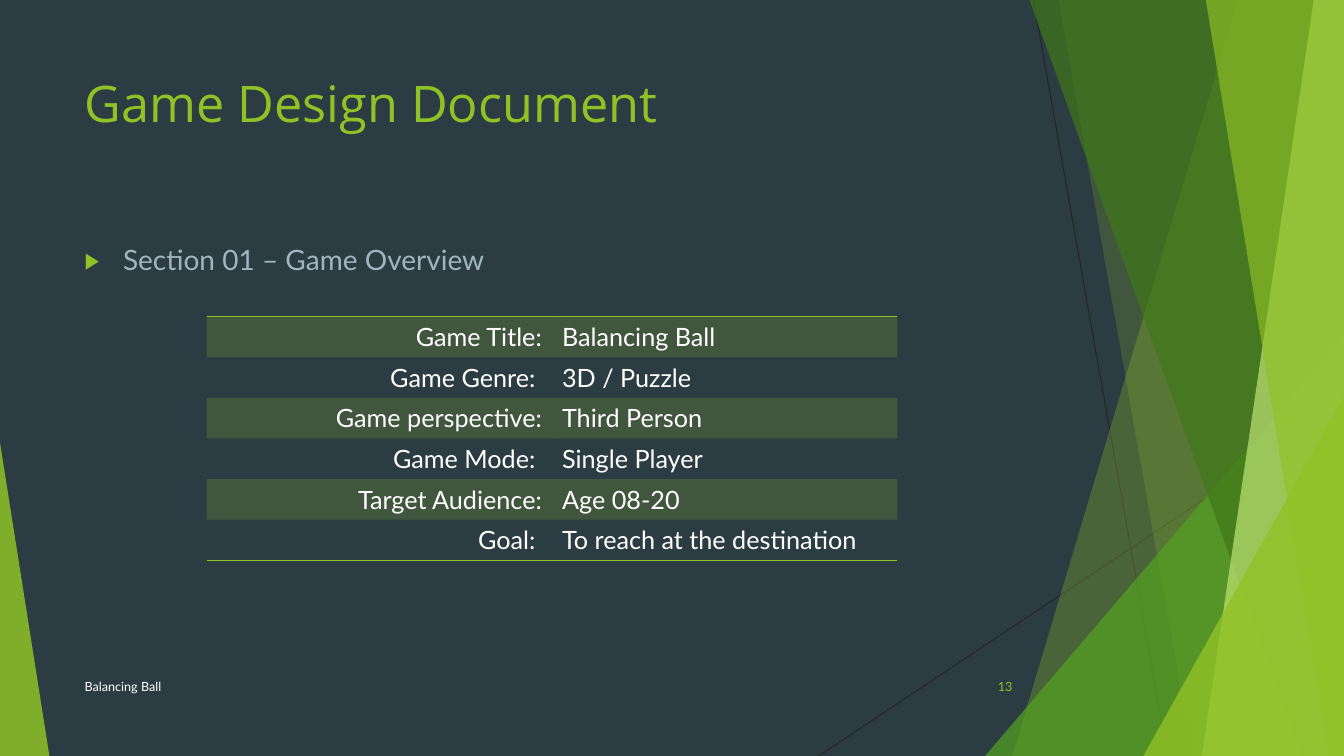
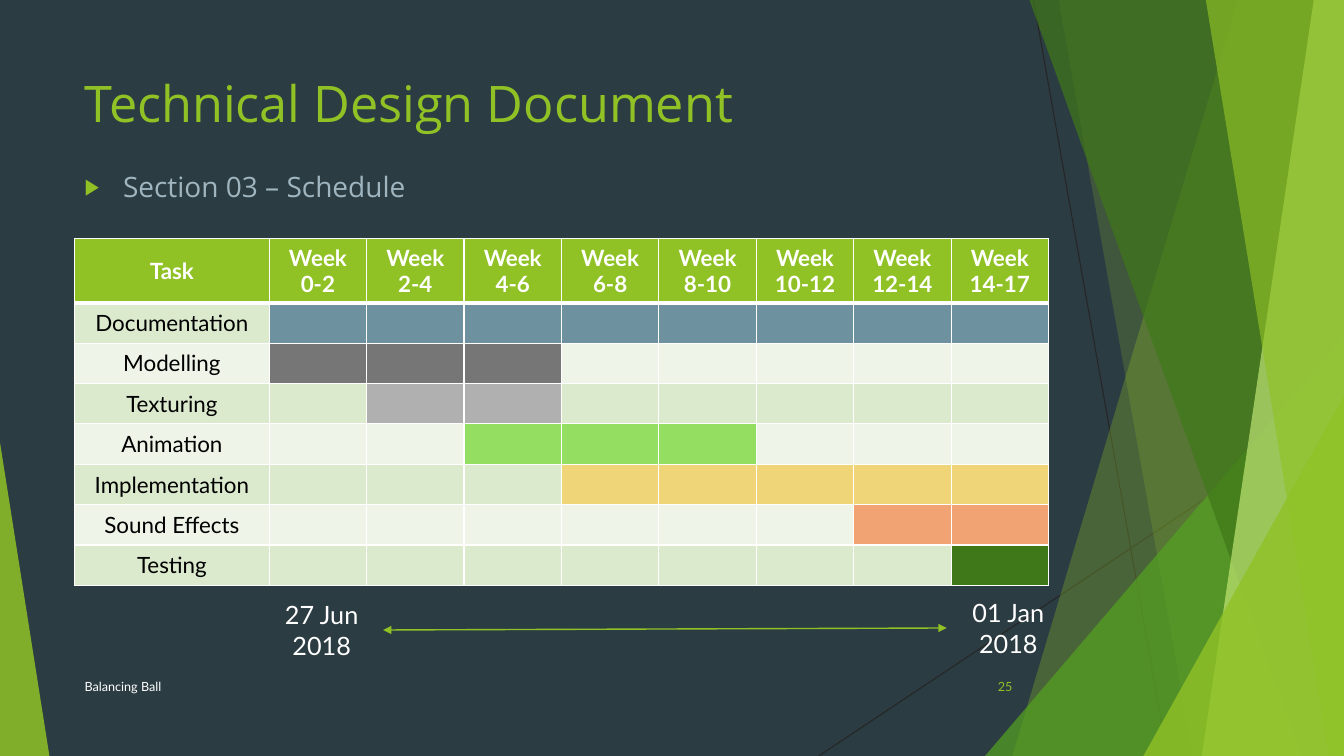
from lxml import etree
from pptx import Presentation
from pptx.dml.color import RGBColor
from pptx.enum import shapes as kinds, text
from pptx.oxml.ns import qn
from pptx.util import Inches, Pt

WIDTH, HEIGHT = 13.33, 7.5
BACKGROUND, LIME, WHITE, BLACK, MUTED = "2C3C43", "90C226", "FFFFFF", "000000", "9FB6C0"
BANDS = ["DBE9CD", "EEF4E8"]
HEADING_FONT, BODY_FONT = "Open Sans", "Lato"
LEFT, CENTER, RIGHT = text.PP_ALIGN.LEFT, text.PP_ALIGN.CENTER, text.PP_ALIGN.RIGHT
TOP, MIDDLE = text.MSO_ANCHOR.TOP, text.MSO_ANCHOR.MIDDLE
NO_GRID_STYLE = "{2D5ABB26-0587-4C30-8999-92F81FD0307C}"

# Decoration, back to front
THIN_LINES = [((10.25, 0), (11.58, 7.5)), ((13.33, 4.03), (8.12, 7.5))]
FACETS = [  # band: top x, bottom x; triangle: left, top, width, apex
    ("band", (12.28, 10.04), LIME, 30),
    ("band", (10.5, 11.83), LIME, 20),
    ("triangle", (9.77, 3.33, 3.56, 1), "54A021", 72),
    ("band", (10.21, 12.91), "3F7819", 70),
    ("band", (13.03, 11.92), "C0E474", 70),
    ("band", (11.96, 13.18), LIME, 65),
    ("triangle", (11.34, 3.93, 1.99, 1), LIME, 80),
    ("triangle", (0, 4.39, 0.49, 0), LIME, 85),
]

FOOTER = "Balancing Ball"
OVERVIEW = [
    ("Game Title:", "Balancing Ball"),
    ("Game Genre: ", "3D / Puzzle"),
    ("Game perspective:", "Third Person"),
    ("Game Mode: ", "Single Player"),
    ("Target Audience:", "Age 08-20"),
    ("Goal: ", "To reach at the destination"),
]
WEEKS = ["0-2", "2-4", "4-6", "6-8", "8-10", "10-12", "12-14", "14-17"]
TASKS = [  # name, first and last period, colour
    ("Documentation", 1, 8, "6E91A0"),
    ("Modelling", 1, 3, "767676"),
    ("Texturing", 2, 3, "B0B0B0"),
    ("Animation", 3, 5, "94DE61"),
    ("Implementation", 4, 8, "F0D578"),
    ("Sound Effects", 7, 8, "F1A374"),
    ("Testing", 8, 8, "3F7819"),
]
DATES = [("27 Jun 2018", 2.58, 5.9), ("01 Jan 2018", 9.39, 5.88)]


def rgb(colour):
    return RGBColor.from_string(colour)


def set_fill(fill, colour, opacity=100):
    fill.solid()
    fill.fore_color.rgb = rgb(colour)
    if opacity < 100:
        colour_element = fill._xPr.find(qn("a:solidFill"))[0]
        etree.SubElement(colour_element, qn("a:alpha"), val=str(opacity * 1000))


def write(frame, words, size, colour, font=BODY_FONT, align=LEFT, bold=False):
    frame.text = words
    paragraph = frame.paragraphs[0]
    paragraph.alignment = align
    run_font = paragraph.runs[0].font
    run_font.name, run_font.size, run_font.bold = font, Pt(size), bold
    run_font.color.rgb = rgb(colour)
    return paragraph


def place(shape, left, top, width, height):
    shape.left, shape.top = Inches(left), Inches(top)
    shape.width, shape.height = Inches(width), Inches(height)


def add_text(slide, box, words, size, colour, align=LEFT, anchor=TOP):
    frame = slide.shapes.add_textbox(*map(Inches, box)).text_frame
    frame.word_wrap = True
    frame.vertical_anchor = anchor
    write(frame, words, size, colour, align=align)


def add_line(slide, start, end, colour, width, arrows=False):
    ends = map(Inches, start + end)
    line = slide.shapes.add_connector(kinds.MSO_CONNECTOR.STRAIGHT, *ends)
    line.line.color.rgb = rgb(colour)
    line.line.width = Pt(width)
    properties = line._element.spPr
    if arrows:
        for tag in ("a:headEnd", "a:tailEnd"):
            etree.SubElement(properties.find(qn("a:ln")), qn(tag), type="triangle")
    etree.SubElement(properties, qn("a:effectLst"))


def add_facet(slide, kind, geometry, colour, opacity):
    if kind == "band":
        top_x, bottom_x = geometry
        builder = slide.shapes.build_freeform(Inches(top_x), 0)
        corners = [(WIDTH, 0), (WIDTH, HEIGHT), (bottom_x, HEIGHT)]
        builder.add_line_segments([(Inches(x), Inches(y)) for x, y in corners])
        shape = builder.convert_to_shape()
    else:
        left, top, width, apex = geometry
        box = map(Inches, (left, top, width, HEIGHT - top))
        shape = slide.shapes.add_shape(kinds.MSO_SHAPE.ISOSCELES_TRIANGLE, *box)
        shape.adjustments[0] = apex
    shape.shadow.inherit = False
    shape.line.fill.background()
    set_fill(shape.fill, colour, opacity)


def decorate_layout(slide):
    """Draw the decoration on the slide, then move it to the slide's layout."""
    existing = len(slide.shapes)
    for start, end in THIN_LINES:
        add_line(slide, start, end, "262626", 0.75)
    for facet in FACETS:
        add_facet(slide, *facet)
    tree = slide.slide_layout.shapes._spTree
    for index, shape in enumerate(list(slide.shapes)[existing:]):
        element = shape._element
        next(element.iter(qn("p:cNvPr"))).set("id", str(100 + index))
        tree.insert(2 + index, element)


def add_slide(presentation, title, section, section_top, section_font, number):
    slide = presentation.slides.add_slide(presentation.slide_layouts[1])
    heading, body = slide.shapes.title, slide.placeholders[1]
    place(heading, 0.74, 0.67, 9.4, 1.44)
    place(body, 0.74, section_top, 9.4, 4.24)
    for holder in (heading, body):
        holder.text_frame.auto_size = text.MSO_AUTO_SIZE.NONE
        holder.text_frame.vertical_anchor = TOP
    write(heading.text_frame, title, 36, LIME, HEADING_FONT)

    paragraph = write(body.text_frame, section, 20, MUTED, section_font)
    properties = paragraph._p.get_or_add_pPr()
    properties.set("marL", str(Inches(0.38)))
    properties.set("indent", str(-Inches(0.38)))
    bullet_colour = etree.SubElement(properties, qn("a:buClr"))
    etree.SubElement(bullet_colour, qn("a:srgbClr"), val=LIME)
    etree.SubElement(properties, qn("a:buSzPct"), val="80000")
    etree.SubElement(properties, qn("a:buFont"), typeface=BODY_FONT)
    etree.SubElement(properties, qn("a:buChar"), char="▶")
    paragraph.space_before = Pt(0)

    add_text(slide, (0.74, 6.61, 6.89, 0.4), FOOTER, 9, WHITE, anchor=MIDDLE)
    add_text(slide, (9.39, 6.61, 0.75, 0.4), str(number), 9, LIME, RIGHT, MIDDLE)
    return slide


def add_table(slide, left, top, widths, heights):
    box = map(Inches, (left, top, sum(widths), sum(heights)))
    table = slide.shapes.add_table(len(heights), len(widths), *box).table
    table.first_row = table.horz_banding = False
    table._tbl.tblPr.find(qn("a:tableStyleId")).text = NO_GRID_STYLE
    for column, width in zip(table.columns, widths):
        column.width = Inches(width)
    for row, height in zip(table.rows, heights):
        row.height = Inches(height)
    return table


def add_borders(cell, colour, **widths):
    """Add borders by side (L, R, T, B) in points; call before filling the cell."""
    properties = cell._tc.get_or_add_tcPr()
    for side in "LRTB":
        if side in widths:
            line = etree.SubElement(properties, qn("a:ln" + side), w=str(Pt(widths[side])))
            solid = etree.SubElement(line, qn("a:solidFill"))
            etree.SubElement(solid, qn("a:srgbClr"), val=colour)


def add_overview(slide):
    count = len(OVERVIEW)
    table = add_table(slide, 2.05, 3.14, [6.85 / 2] * 2, [2.42 / count] * count)
    for row, entries in enumerate(OVERVIEW):
        for column, words in enumerate(entries):
            cell = table.cell(row, column)
            if row == 0:
                add_borders(cell, LIME, T=1)
            if row == count - 1:
                add_borders(cell, LIME, B=1)
            if row % 2:
                cell.fill.background()
            else:
                set_fill(cell.fill, LIME, 20)
            write(cell.text_frame, words, 18, WHITE, align=LEFT if column else RIGHT)


def add_schedule(slide):
    week_width = (9.66 - 1.93) / len(WEEKS)
    widths = [1.93] + [week_width] * len(WEEKS)
    table = add_table(slide, 0.74, 2.37, widths, [0.63] + [0.4] * len(TASKS))
    headers = ["Task"] + [f"Week {week}" for week in WEEKS]
    for column, words in enumerate(headers):
        cell = table.cell(0, column)
        add_borders(cell, WHITE, L=1, R=1, T=1, B=3)
        set_fill(cell.fill, LIME)
        cell.vertical_anchor = MIDDLE
        write(cell.text_frame, words, 16, WHITE, align=CENTER, bold=True)
    for row, (name, first, last, colour) in enumerate(TASKS, 1):
        for column in range(len(headers)):
            cell = table.cell(row, column)
            add_borders(cell, WHITE, L=1, R=1, T=3 if row == 1 else 1, B=1)
            active = first <= column <= last
            set_fill(cell.fill, colour if active else BANDS[(row - 1) % 2])
        label = table.cell(row, 0)
        label.vertical_anchor = MIDDLE
        write(label.text_frame, name, 16, BLACK, align=CENTER)

    for date, left, top in DATES:
        add_text(slide, (left, top, 1.22, 0.71), date, 18, WHITE, CENTER)
    add_line(slide, (3.8, 6.25), (9.39, 6.23), LIME, 1, arrows=True)


def main():
    presentation = Presentation()
    presentation.slide_width, presentation.slide_height = Inches(WIDTH), Inches(HEIGHT)
    set_fill(presentation.slide_master.background.fill, BACKGROUND)

    overview = add_slide(presentation, "Game Design Document",
                         "Section 01 – Game Overview", 2.36, BODY_FONT, 13)
    decorate_layout(overview)
    add_overview(overview)
    schedule = add_slide(presentation, "Technical Design Document",
                         "Section 03 – Schedule", 1.63, HEADING_FONT, 25)
    add_schedule(schedule)
    presentation.save("out.pptx")


if __name__ == "__main__":
    main()
